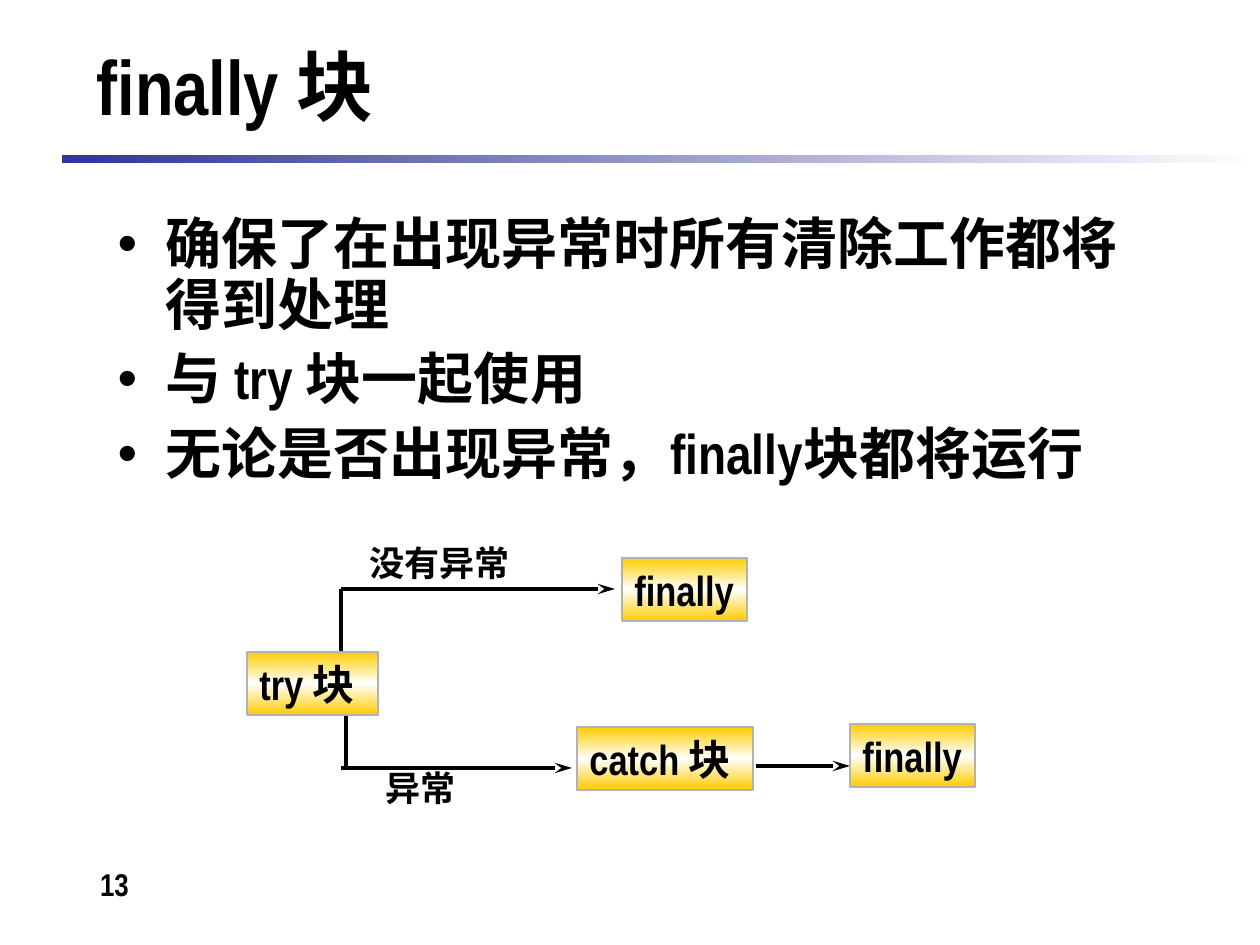
from copy import deepcopy

from lxml.etree import SubElement
from pptx import Presentation
from pptx.dml.color import RGBColor
from pptx.enum.shapes import MSO_CONNECTOR, MSO_SHAPE
from pptx.enum.text import MSO_ANCHOR, MSO_AUTO_SIZE, PP_ALIGN
from pptx.oxml.ns import qn
from pptx.util import Emu, Pt

EMU_PER_PX = 914400 / 126
BLACK = RGBColor(0x00, 0x00, 0x00)
WHITE = RGBColor(0xFF, 0xFF, 0xFF)
INDIGO = RGBColor(0x33, 0x33, 0x99)
GOLD = RGBColor(0xFF, 0xCC, 0x00)
GRAY = RGBColor(0xB2, 0xB2, 0xB2)
NARROW = "Arial Narrow"

POINTS = [
    "确保了在出现异常时所有清除工作都将得到处理",
    "与 try 块一起使用",
    "无论是否出现异常，finally块都将运行",
]
BLOCKS = [
    ("finally", 375, 23, 125),
    ("catch 块", 330, 192, 176),
    ("finally", 603, 189, 125),
    ("try 块", 0, 117, 131),
]
BLOCK_HEIGHT = 63
PATHS = [
    ((99, 179), (99, 231), False),
    ((94, 233), (325, 233), True),
    ((94, 117), (94, 54), False),
    ((94, 54), (368, 54), True),
    ((509, 231), (603, 231), True),
]
LABELS = [("异常", 126, 225, 105), ("没有异常", 110, 0, 180)]


def px(value):
    return Emu(round(value * EMU_PER_PX))


def place(shape, left, top, width, height):
    shape.left, shape.top = px(left), px(top)
    shape.width, shape.height = px(width), px(height)


def write(paragraph, text, size, font=NARROW, align=PP_ALIGN.LEFT):
    paragraph.alignment = align
    run = paragraph.add_run()
    run.text = text
    run.font.name = font
    run.font.size = Pt(size)
    run.font.bold = True
    run.font.color.rgb = BLACK


def paint_gradient(shape, colors, angle):
    shape.shadow.inherit = False
    shape.fill.gradient()
    shape.fill.gradient_angle = angle
    stop_list = shape._element.spPr.find(qn("a:gradFill")).find(qn("a:gsLst"))
    for _ in colors[2:]:
        stop_list.append(deepcopy(stop_list[0]))
    for index, (stop, color) in enumerate(zip(shape.fill.gradient_stops, colors)):
        stop.position = index / (len(colors) - 1)
        stop.color.rgb = color


def add_label(slide, text, left, top, width, height, **style):
    label = slide.shapes.add_textbox(px(left), px(top), px(width), px(height))
    label.text_frame.word_wrap = True
    write(label.text_frame.paragraphs[0], text, **style)


def add_block(slide, text, left, top, width):
    block = slide.shapes.add_shape(
        MSO_SHAPE.RECTANGLE, px(left), px(top), px(width), px(BLOCK_HEIGHT)
    )
    paint_gradient(block, [GOLD, WHITE, GOLD], 270)
    block.line.color.rgb = GRAY
    block.line.width = Pt(0.75)
    frame = block.text_frame
    frame.word_wrap = False
    frame.vertical_anchor = MSO_ANCHOR.TOP
    write(frame.paragraphs[0], text, 24)


def add_path(slide, start, end, arrow):
    path = slide.shapes.add_connector(
        MSO_CONNECTOR.STRAIGHT, *(px(value) for value in (*start, *end))
    )
    path.line.color.rgb = BLACK
    path.line.width = Pt(2)
    if arrow:
        line = path.line._get_or_add_ln()
        SubElement(line, qn("a:tailEnd"), type="stealth", w="med", len="lg")
    SubElement(path._element.spPr, qn("a:effectLst"))


def build_heading(slide, left, top, width, height):
    rule = slide.shapes.add_shape(
        MSO_SHAPE.RECTANGLE, px(left - 22), px(top + 129), px(1198), px(8)
    )
    paint_gradient(rule, [INDIGO, WHITE], 0)
    rule.line.fill.background()
    title = slide.shapes.title
    place(title, left, top, width, height)
    title.text_frame.auto_size = MSO_AUTO_SIZE.NONE
    title.text_frame.vertical_anchor = MSO_ANCHOR.MIDDLE
    write(title.text_frame.paragraphs[0], "finally 块", 44)


def build_points(slide, left, top, width, height):
    body = slide.placeholders[1]
    place(body, left, top, width, height)
    frame = body.text_frame
    frame.auto_size = MSO_AUTO_SIZE.NONE
    for index, text in enumerate(POINTS):
        paragraph = frame.add_paragraph() if index else frame.paragraphs[0]
        properties = paragraph._p.get_or_add_pPr()
        properties.set("marL", str(px(48)))
        properties.set("indent", str(px(-48)))
        SubElement(properties, qn("a:buChar"), char="•")
        paragraph.line_spacing = 0.9
        paragraph.space_before = Pt(8 if index else 0)
        write(paragraph, text, 32)


def build_flow(slide, left, top):
    for (x1, y1), (x2, y2), arrow in PATHS:
        add_path(slide, (left + x1, top + y1), (left + x2, top + y2), arrow)
    for text, x, y, width in LABELS:
        add_label(slide, text, left + x, top + y, width, 55, size=20, font="Arial")
    for text, x, y, width in BLOCKS:
        add_block(slide, text, left + x, top + y, width)


def main():
    deck = Presentation()
    deck.slide_width, deck.slide_height = px(1260), px(945)
    slide = deck.slides.add_slide(deck.slide_layouts[1])
    build_heading(slide, 84, 26, 1081, 118)
    build_points(slide, 105, 210, 1071, 284)
    build_flow(slide, 247, 535)
    add_label(slide, "13", 25, 859, 179, 66, size=18, align=PP_ALIGN.CENTER)
    deck.save("out.pptx")


if __name__ == "__main__":
    main()
